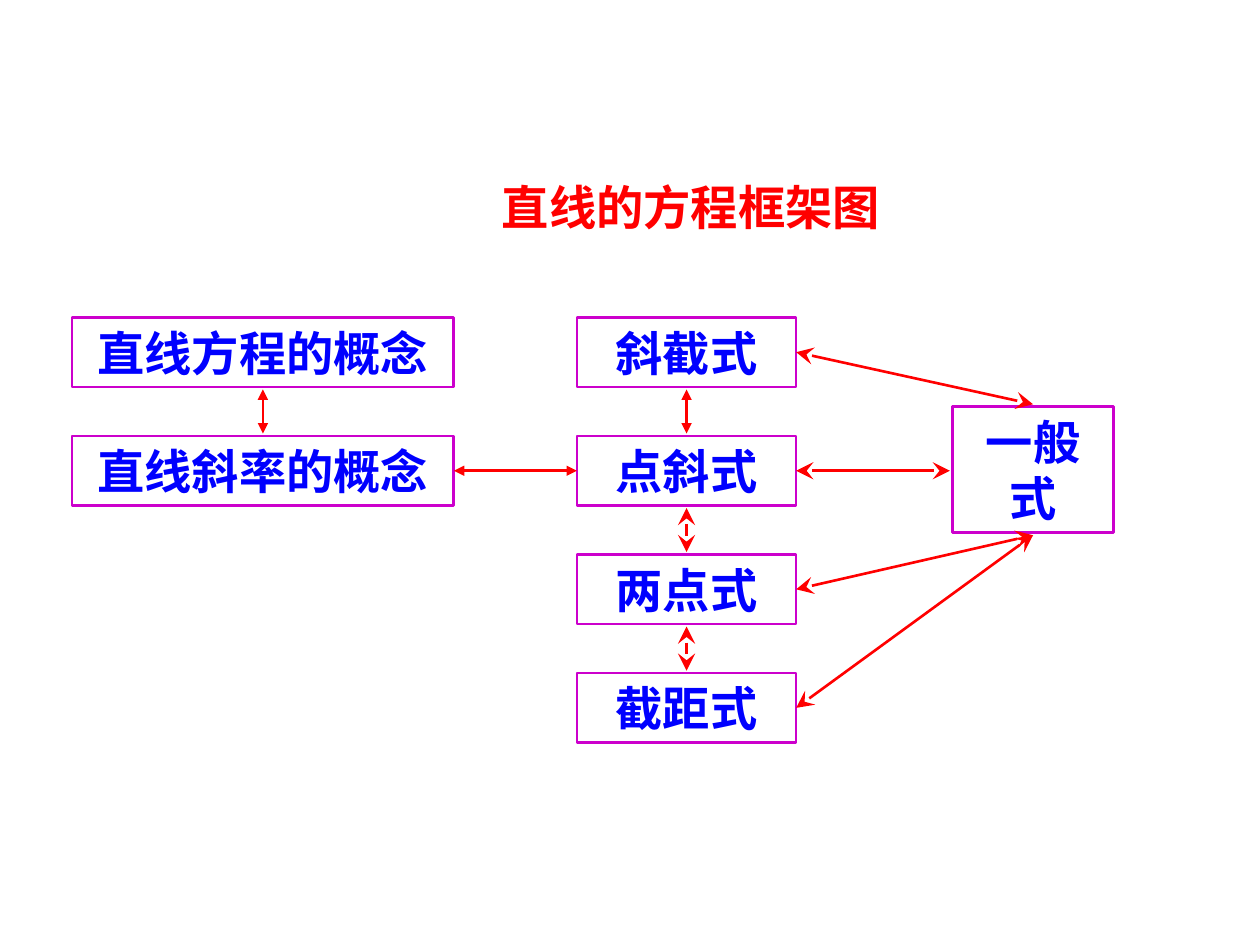
from lxml import etree
from pptx import Presentation
from pptx import util as u
from pptx.dml.color import RGBColor
from pptx.enum import shapes, text
from pptx.oxml import ns

COLORS = {"title": "FF0000", "label": "0000FF", "border": "CC00CC", "arrow": "FF0000"}
FONT = "Noto Sans CJK SC"
LINE_WIDTH = u.Pt(1.5)

# Layout grid, in centimetres
ROW_TOP, ROW_PITCH, ROW_HEIGHT = 6.4, 2.39, 1.4
CONCEPT_LEFT, CONCEPT_WIDTH = 1.45, 7.7
FORM_LEFT, FORM_WIDTH = 11.63, 4.42
GENERAL = (19.2, 8.2, 3.25, 2.54)
GAP = 0.05

CONCEPTS = ["直线方程的概念", "直线斜率的概念"]
FORMS = ["斜截式", "点斜式", "两点式", "截距式"]


def color(key):
    return RGBColor.from_string(COLORS[key])


def write(frame, words, color_key, spacing=None):
    """Fill a frame with one bold centred line of text."""
    frame.word_wrap = True
    frame.auto_size = text.MSO_AUTO_SIZE.SHAPE_TO_FIT_TEXT
    paragraph = frame.paragraphs[0]
    paragraph.alignment = text.PP_ALIGN.CENTER
    if spacing:
        paragraph.line_spacing = spacing
    run = paragraph.add_run()
    run.text = words
    run.font.size = u.Pt(27)
    run.font.bold = True
    run.font.name = FONT
    run.font.color.rgb = color(color_key)
    east_asian = etree.SubElement(run.font._element, ns.qn("a:ea"))
    east_asian.set("typeface", FONT)


def add_title(slide, words):
    title = slide.shapes.add_textbox(u.Cm(4.8), u.Cm(3.02), u.Cm(18.26), u.Cm(1.85))
    write(title.text_frame, words, "title", spacing=1.4)


def add_box(slide, words, bounds):
    box = slide.shapes.add_shape(
        shapes.MSO_SHAPE.RECTANGLE, *(u.Cm(length) for length in bounds))
    box.shadow.inherit = False
    box.fill.background()
    box.line.color.rgb = color("border")
    box.line.width = LINE_WIDTH
    box.text_frame.vertical_anchor = text.MSO_ANCHOR.MIDDLE
    write(box.text_frame, words, "label")


def add_arrow(slide, start, end, head="stealth", size="lg"):
    """Draw a line with the same arrowhead at both ends."""
    arrow = slide.shapes.add_connector(
        shapes.MSO_CONNECTOR.STRAIGHT, *(u.Cm(length) for length in (*start, *end)))
    arrow.line.color.rgb = color("arrow")
    arrow.line.width = LINE_WIDTH
    outline = arrow.line._get_or_add_ln()
    for tag in ("a:headEnd", "a:tailEnd"):
        etree.SubElement(outline, ns.qn(tag), type=head, w=size, len=size)
    etree.SubElement(arrow._element.spPr, ns.qn("a:effectLst"))


def row_top(row):
    return ROW_TOP + row * ROW_PITCH


def row_middle(row):
    return row_top(row) + ROW_HEIGHT / 2


def add_column(slide, labels, left, width):
    for row, label in enumerate(labels):
        add_box(slide, label, (left, row_top(row), width, ROW_HEIGHT))


def add_row_arrow(slide, x, row, **style):
    """Link a row to the one below it."""
    add_arrow(slide, (x, row_top(row) + ROW_HEIGHT + GAP),
              (x, row_top(row + 1) - GAP), **style)


def main():
    deck = Presentation()
    deck.slide_width, deck.slide_height = u.Cm(25.4), u.Cm(19.05)
    slide = deck.slides.add_slide(deck.slide_layouts[6])

    # Title and boxes
    add_title(slide, "直线的方程框架图")
    add_column(slide, CONCEPTS, CONCEPT_LEFT, CONCEPT_WIDTH)
    add_column(slide, FORMS, FORM_LEFT, FORM_WIDTH)
    add_box(slide, "一般式", GENERAL)

    # Concepts lead to the point-slope form
    small = {"head": "triangle", "size": "med"}
    form_center = FORM_LEFT + FORM_WIDTH / 2
    add_row_arrow(slide, CONCEPT_LEFT + CONCEPT_WIDTH / 2, 0, **small)
    add_arrow(slide, (CONCEPT_LEFT + CONCEPT_WIDTH, row_middle(1)),
              (FORM_LEFT, row_middle(1)), **small)

    # Forms lead to one another
    add_row_arrow(slide, form_center, 0, **small)
    for row in (1, 2):
        add_row_arrow(slide, form_center, row)

    # Every form leads to the general form
    left, top, width, height = GENERAL
    center, below = left + width / 2, top + height + GAP
    targets = [(center, top - GAP), (left - GAP, row_middle(1)),
               (center, below), (center, below)]
    for row, target in enumerate(targets):
        add_arrow(slide, (FORM_LEFT + FORM_WIDTH, row_middle(row)), target)

    deck.save("out.pptx")


if __name__ == "__main__":
    main()
